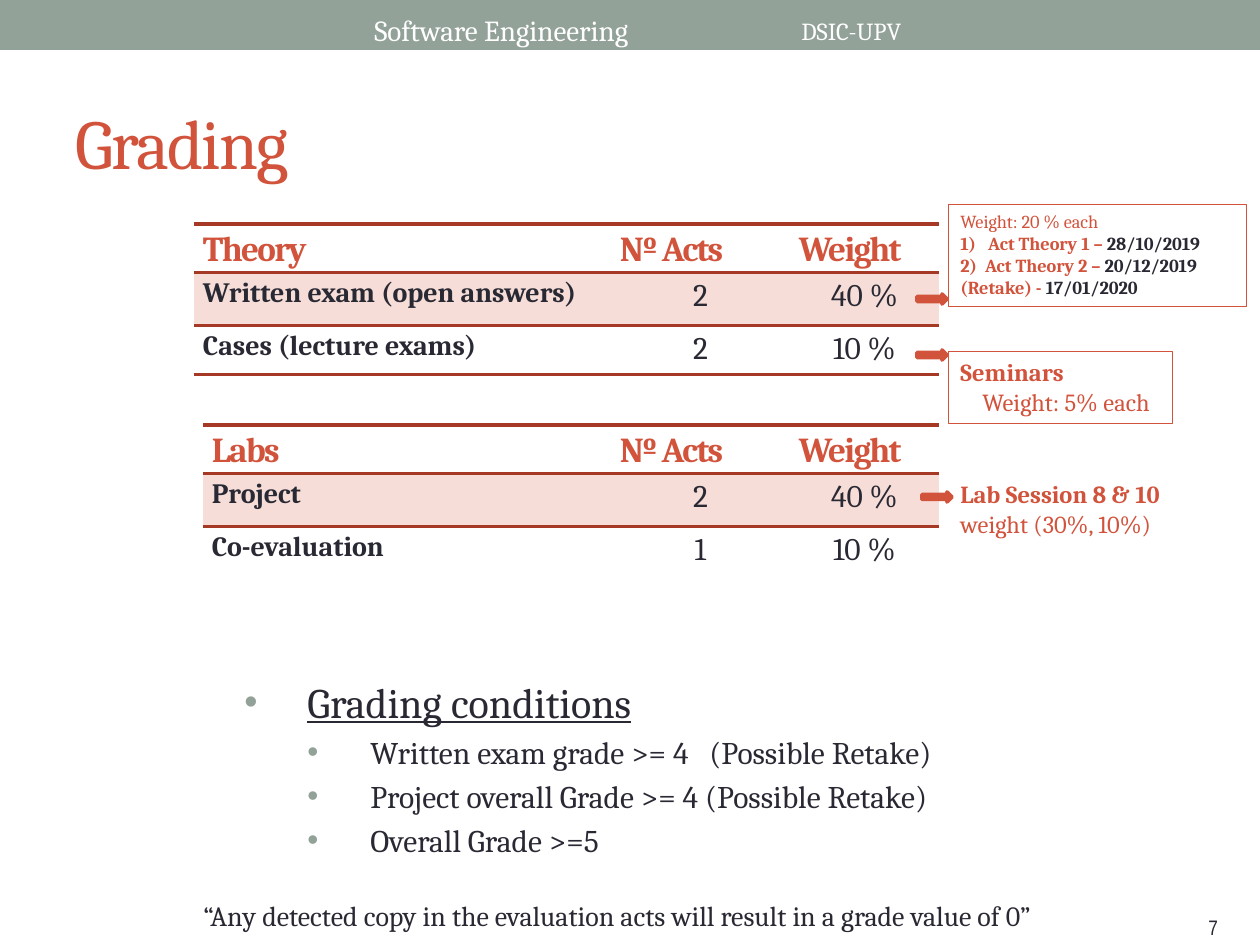
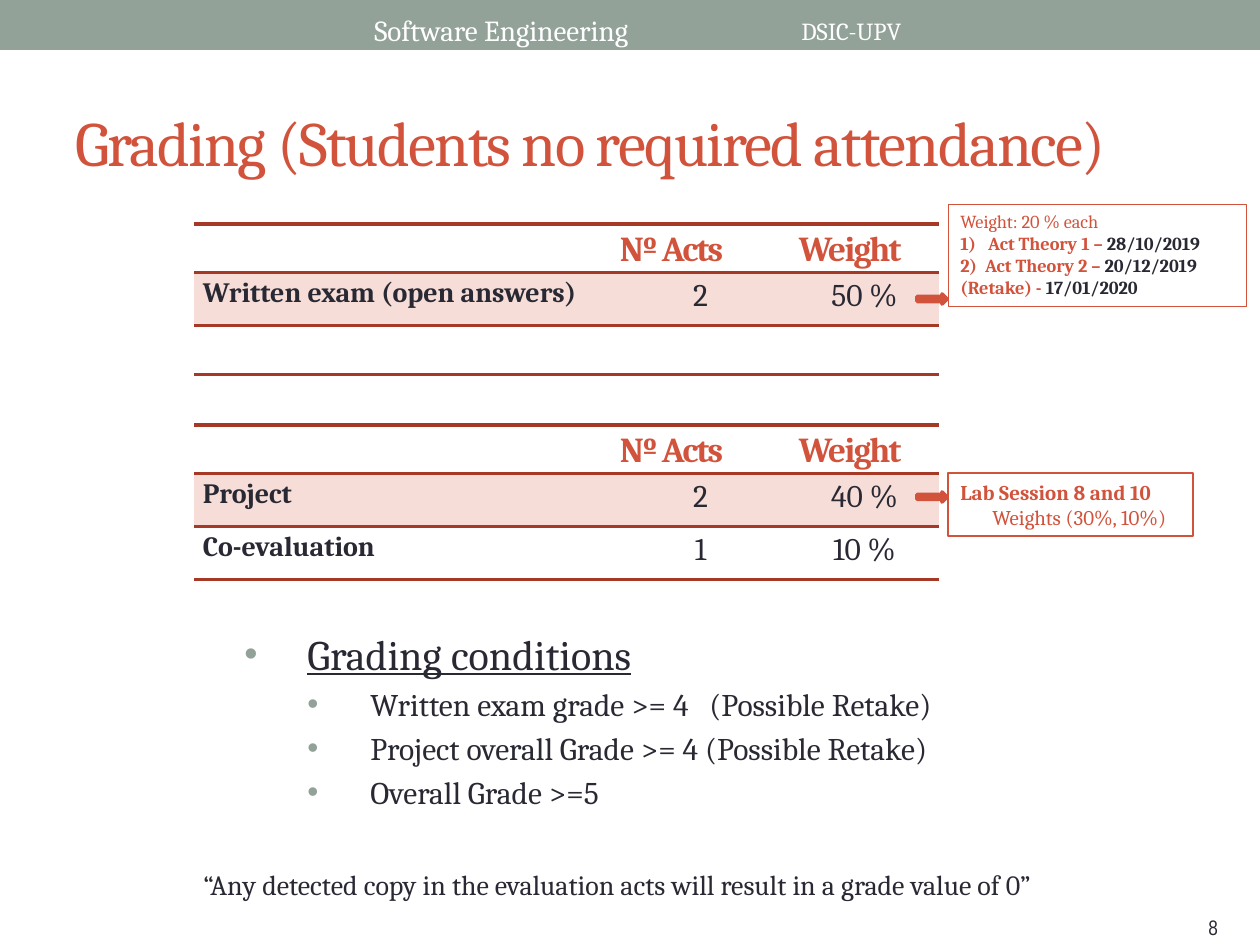
from lxml.etree import SubElement
from pptx import Presentation
from pptx.dml.color import RGBColor
from pptx.enum.shapes import MSO_SHAPE
from pptx.enum.text import MSO_ANCHOR, PP_ALIGN
from pptx.oxml.ns import qn
from pptx.util import Emu, Pt

SAGE = RGBColor(0x93, 0xA2, 0x99)
BRICK = RGBColor(0xD2, 0x53, 0x3C)
RUST = RGBColor(0xA5, 0x39, 0x26)
BLUSH = RGBColor(0xF6, 0xDD, 0xD8)
INK = RGBColor(0x29, 0x29, 0x34)
WHITE = RGBColor(0xFF, 0xFF, 0xFF)
SERIF, NARROW = "Cambria", "Arial Narrow"
PLAIN_TABLE = "{2D5ABB26-0587-4C30-8999-92F81FD0307C}"
HEADS = ("Nº Acts", "Weight")
QUOTE = "“Any detected copy in the evaluation acts will result in a grade value of 0”"
CONDITIONS = (
    "Written exam grade >= 4   (Possible Retake)",
    "Project overall Grade >= 4 (Possible Retake)",
    "Overall Grade >=5",
)
EXAMS = (
    ("1)   Act Theory 1 – ", "28/10/2019"),
    ("2)  Act Theory 2 – ", "20/12/2019"),
    ("(Retake) - ", "17/01/2020"),
)


def px(length):
    return Emu(round(length * 914400 / 126))


def write(para, text, size=16, color=INK, font=SERIF, bold=False, underline=False,
          tracking=0, align=None, spacing=None, before=0, indent=0, hang=0):
    span = para.add_run()
    span.text = text
    span.font.size = Pt(size)
    span.font.name = font
    span.font.bold = bold
    span.font.underline = underline
    span.font.color.rgb = color
    if tracking:
        span.font._element.set("spc", str(tracking * 100))
    if align is not None:
        para.alignment = align
    if spacing:
        para.line_spacing = spacing
    if before:
        para.space_before = Pt(before)
    if indent:
        properties = para._p.get_or_add_pPr()
        properties.set("marL", str(px(indent)))
        properties.set("indent", str(px(-hang)))


class GradingDeck:
    """Holds the deck style and the slide being drawn."""

    def __init__(self):
        self.deck = Presentation()
        self.deck.slide_width, self.deck.slide_height = px(1260), px(945)
        self.page = None

    def start_page(self, title, size, number):
        self.page = self.deck.slides.add_slide(self.deck.slide_layouts[6])
        self.shape(MSO_SHAPE.RECTANGLE, 0, 0, 1260, 50, fill=SAGE)
        heading = self.text(63, 73, 1134, 136, title, size=size, color=BRICK, tracking=-1)
        heading.vertical_anchor = MSO_ANCHOR.MIDDLE
        self.text(362, 6, 357, 45, "Software Engineering", size=16.6, color=WHITE)
        self.text(789, 10, 417, 37, "DSIC-UPV", size=14, color=WHITE)
        self.text(1196, 908, 64, 37, str(number), size=12, font=NARROW)

    def shape(self, kind, left, top, width, height, fill=None, line=None, weight=1):
        shape = self.page.shapes.add_shape(kind, px(left), px(top), px(width), px(height))
        shape.shadow.inherit = False
        if fill is None:
            shape.fill.background()
        else:
            shape.fill.solid()
            shape.fill.fore_color.rgb = fill
        if line is None:
            shape.line.fill.background()
        else:
            shape.line.color.rgb = line
            shape.line.width = Pt(weight)
        return shape

    def text(self, left, top, width, height, text="", **style):
        box = self.page.shapes.add_textbox(px(left), px(top), px(width), px(height))
        frame = box.text_frame
        frame.word_wrap = True
        if text:
            write(frame.paragraphs[0], text, **style)
        return frame

    def arrow(self, left, top):
        self.shape(MSO_SHAPE.RIGHT_ARROW, left, top, 30, 10, BRICK, BRICK, 2.08)

    def callout(self, top, width, height, lines, size, weight=0.25, framed=True):
        if framed:
            box = self.shape(MSO_SHAPE.RECTANGLE, 948, top, width, height,
                             line=BRICK, weight=weight)
            frame = box.text_frame
            frame.word_wrap = True
            frame.vertical_anchor = MSO_ANCHOR.TOP
        else:
            frame = self.text(948, top, width, height)
        for index, spans in enumerate(lines):
            para = frame.add_paragraph() if index else frame.paragraphs[0]
            for text, style in spans:
                write(para, text, size=size, align=PP_ALIGN.LEFT, **{"color": BRICK, **style})

    def exam_callout(self):
        lines = [[("Weight: 20 % each", {})]]
        for label, date in EXAMS:
            lines.append([(label, {"bold": True}), (date, {"bold": True, "color": INK})])
        self.callout(204, 298, 102, lines, size=10.5)
        self.arrow(917, 294)

    def note(self, top, width, height, title, detail, size, indent=0, **frame):
        lines = [[(title, {"bold": True})], [(detail, {"indent": indent})]]
        self.callout(top, width, height, lines, size, **frame)

    def rule(self, cell, side):
        line = SubElement(cell._tc.get_or_add_tcPr(), qn("a:" + side), w=str(Pt(2.25)))
        fill = SubElement(line, qn("a:solidFill"))
        SubElement(fill, qn("a:srgbClr"), val=str(RUST))

    def table(self, left, top, name, rows, last_height, closed=True):
        content = [(name, *HEADS), *rows]
        heights = (47, 53, last_height)
        widths = (939 - 328 - left, 179, 149)
        holder = self.page.shapes.add_table(3, 3, px(left), px(top), px(sum(widths)),
                                            px(sum(heights)))
        table = holder.table
        table.first_row = table.horz_banding = False
        table._tbl.tblPr.find(qn("a:tableStyleId")).text = PLAIN_TABLE
        for column, width in zip(table.columns, widths):
            column.width = px(width)
        for index, (row, height) in enumerate(zip(table.rows, heights)):
            row.height = px(height)
            for column, cell in enumerate(row.cells):
                self.cell(cell, content[index][column], index, column, closed)

    def cell(self, cell, text, row, column, closed):
        cell.margin_left = cell.margin_right = px(9)
        cell.margin_top = cell.margin_bottom = 0
        if row < 2:
            self.rule(cell, "lnT")
        if row == 0 or row == 2 and closed:
            self.rule(cell, "lnB")
        if row == 1:
            cell.fill.solid()
            cell.fill.fore_color.rgb = BLUSH
        else:
            cell.fill.background()
        if row == 0:
            style = {"size": 20, "color": BRICK, "bold": True, "tracking": -1}
        elif column == 0:
            style = {"size": 16, "bold": True}
        else:
            style = {"size": 18, "align": PP_ALIGN.CENTER}
        para = cell.text_frame.paragraphs[0]
        if text:
            write(para, text, spacing=1.15, **style)
        else:
            para.font.size = Pt(style["size"])

    def bullet(self, para, text, size, indent, scale=100, **style):
        write(para, text, size=size, before=size * 0.2, indent=indent, hang=63, **style)
        properties = para._p.get_or_add_pPr()
        color = SubElement(properties, qn("a:buClr"))
        SubElement(color, qn("a:srgbClr"), val=str(SAGE))
        SubElement(properties, qn("a:buSzPct"), val=str(scale * 1000))
        SubElement(properties, qn("a:buFont"), typeface="Arial")
        SubElement(properties, qn("a:buChar"), char="•")

    def conditions(self, top, quote_top):
        frame = self.text(115, top, 1056, 208)
        self.bullet(frame.paragraphs[0], "Grading conditions", 24, 180, 90, underline=True)
        for text in CONDITIONS:
            self.bullet(frame.add_paragraph(), text, 18, 243)
        self.text(74, quote_top, 1056, 67, QUOTE, before=3.2, indent=117)


def main():
    grading = GradingDeck()
    project = ("Project", "2", "40 %")
    evaluation = ("Co-evaluation", "1", "10 %")

    grading.start_page("Grading", 40, 7)
    theory = [("Written exam (open answers)", "2", "40 %"),
              ("Cases (lecture exams)", "2", "10 %")]
    grading.table(194, 224, "Theory", theory, 49)
    grading.table(203, 425, "Labs", [project, evaluation], 53, closed=False)
    grading.conditions(670, 892)
    grading.exam_callout()
    grading.note(351, 224, 72, "Seminars", "Weight: 5% each", 14, indent=22)
    grading.arrow(917, 350)
    grading.note(473, 237, 102, "Lab Session 8 & 10", "weight (30%, 10%)", 14, framed=False)
    grading.arrow(922, 492)

    grading.start_page("Grading (Students no required attendance)", 36, 8)
    exam = [("Written exam (open answers)", "2", "50 %"), ("", "", "")]
    grading.table(194, 224, "", exam, 49)
    grading.table(194, 425, "", [project, evaluation], 53)
    grading.conditions(622, 861)
    grading.exam_callout()
    grading.note(473, 245, 63, "Lab Session 8 and 10", "Weights (30%, 10%)", 12,
                 indent=32, weight=0.75)
    grading.arrow(917, 492)

    grading.deck.save("out.pptx")


main()
